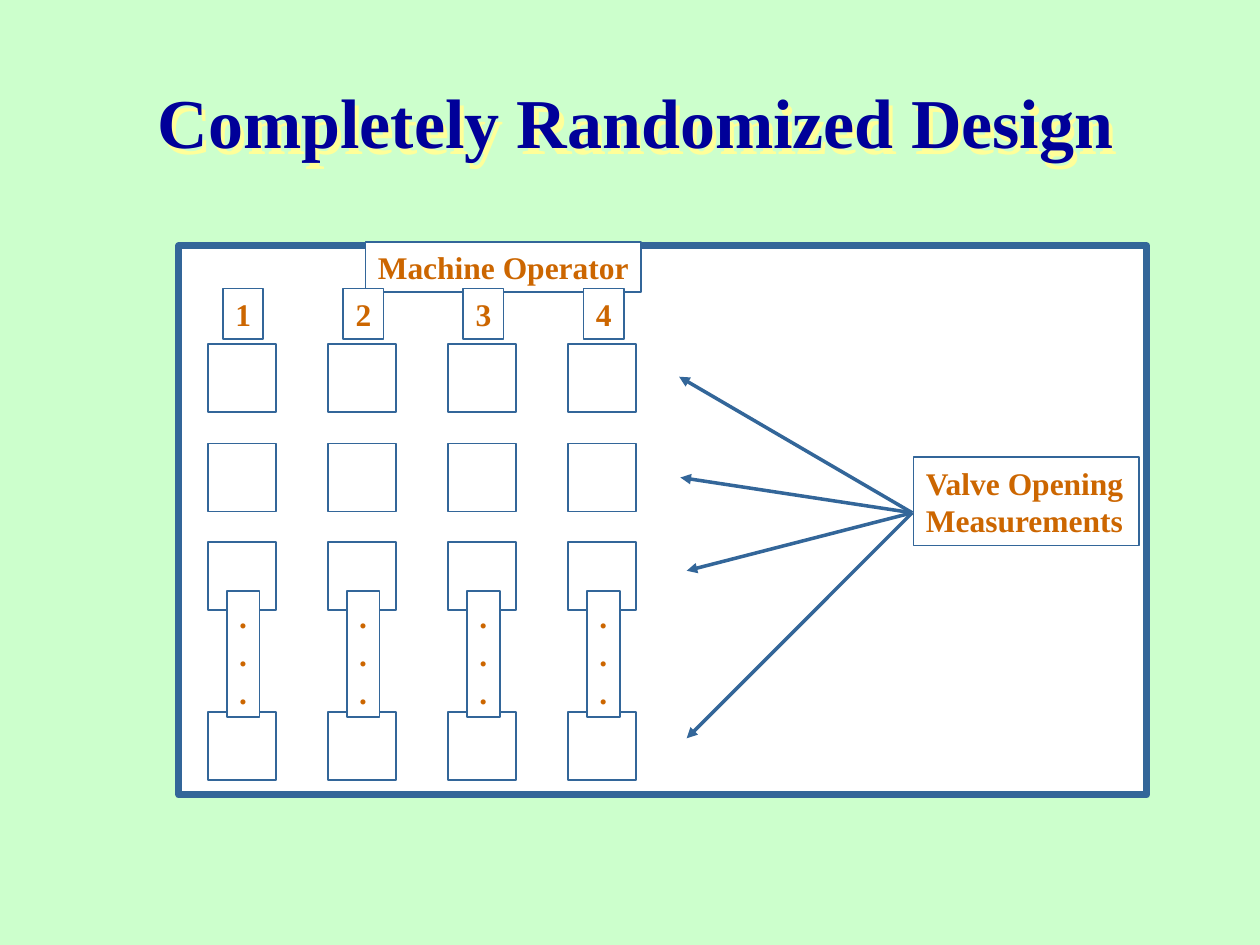
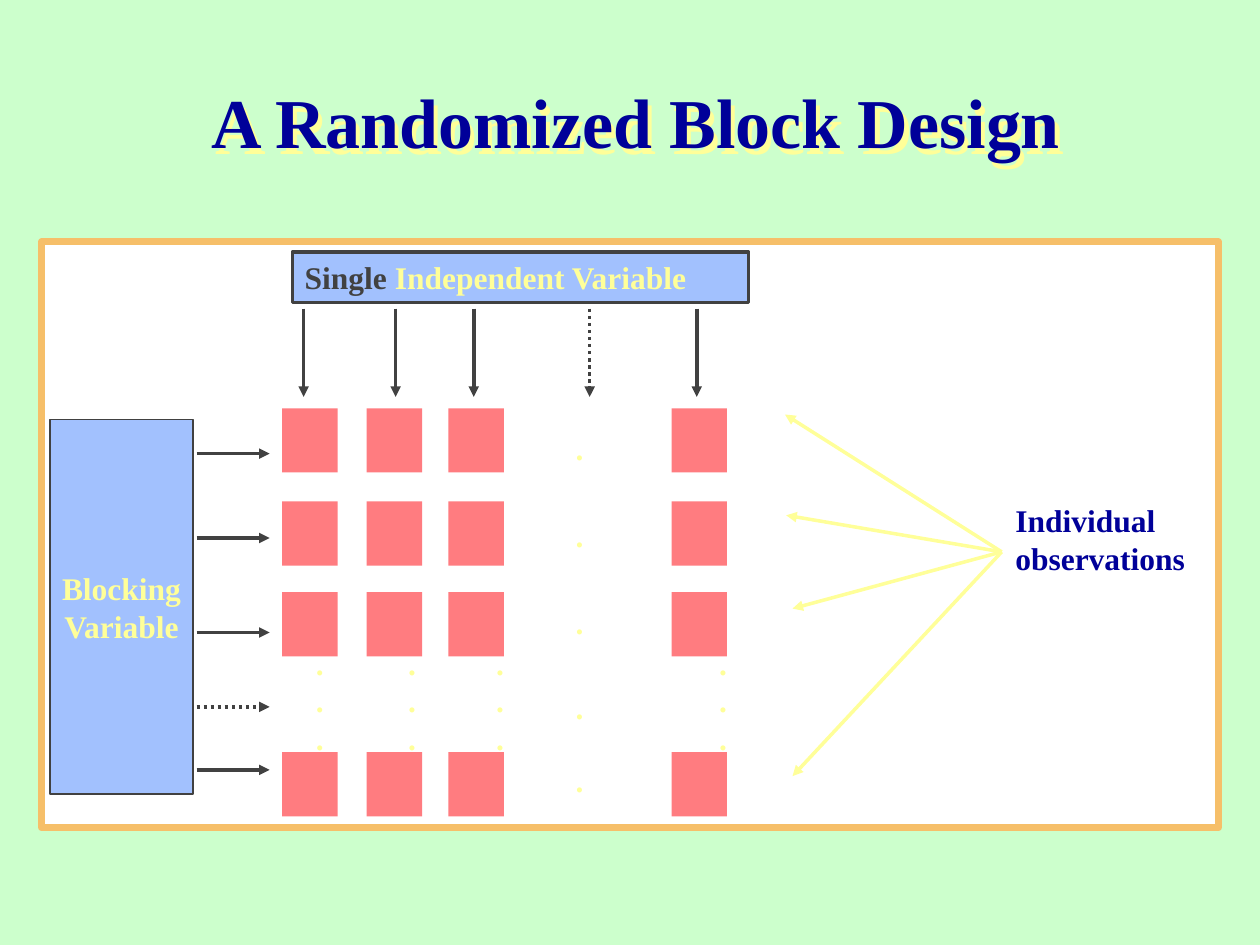
from lxml.etree import SubElement
from pptx import Presentation
from pptx.dml.color import RGBColor
from pptx.enum.dml import MSO_LINE
from pptx.enum.shapes import MSO_CONNECTOR, MSO_SHAPE
from pptx.enum.text import MSO_ANCHOR, MSO_AUTO_SIZE, PP_ALIGN
from pptx.oxml.ns import qn
from pptx.util import Inches, Pt

MINT, WHITE, NAVY, YELLOW = "CCFFCC", "FFFFFF", "000099", "FFFF99"
STEEL, RUST = "336699", "CC6600"
AMBER, CORAL, SKY, CHARCOAL = "F6BF69", "FF7C80", "A2C1FE", "414141"
DOTS = [".", ".", "."]
FAN_TARGETS = [(5.45, 5.86), (5.45, 4.53), (5.4, 3.79), (5.39, 2.99)]


def rgb(code):
    """Turn a hex string into a colour."""
    return RGBColor.from_string(code)


class DiagramDeck:
    """Hold the shared style and the current page."""

    font = "Times New Roman"
    title_size, body_size = 40, 18

    def __init__(self):
        """Start an empty 10 by 7.5 inch deck."""
        self.deck = Presentation()
        self.deck.slide_width = Inches(10)
        self.deck.slide_height = Inches(7.5)
        self.page = None

    def new_page(self, title):
        """Add a mint page with a shadowed title."""
        self.page = self.deck.slides.add_slide(self.deck.slide_layouts[6])
        self.page.background.fill.solid()
        self.page.background.fill.fore_color.rgb = rgb(MINT)
        box = self.text(0.42, 0.33, 9.25, 1.25, [title], NAVY, wrap=True, grow=False,
                        size=self.title_size, centred=True)
        effects = SubElement(box._element.spPr, qn("a:effectLst"))
        shadow = SubElement(effects, qn("a:outerShdw"), dist=str(Inches(0.06)),
                            dir="3400000", algn="ctr", rotWithShape="0")
        SubElement(shadow, qn("a:srgbClr"), val=YELLOW)

    def rectangle(self, left, top, width, height, fill, outline=None, weight=1):
        """Draw a flat rectangle, outlined if a colour is given."""
        box = self.page.shapes.add_shape(MSO_SHAPE.RECTANGLE, Inches(left), Inches(top),
                                         Inches(width), Inches(height))
        box.shadow.inherit = False
        box.fill.solid()
        box.fill.fore_color.rgb = rgb(fill)
        if outline:
            box.line.color.rgb = rgb(outline)
            box.line.width = Pt(weight)
        else:
            box.line.fill.background()
        return box

    def add_lines(self, box, lines, colour, wrap=False, grow=True, size=None, centred=False):
        """Fill a box with lines; a line is a string or a list of (text, colour)."""
        frame = box.text_frame
        frame.word_wrap = wrap
        frame.auto_size = MSO_AUTO_SIZE.SHAPE_TO_FIT_TEXT if grow else MSO_AUTO_SIZE.NONE
        frame.vertical_anchor = MSO_ANCHOR.MIDDLE if centred else MSO_ANCHOR.TOP
        for index, line in enumerate(lines):
            para = frame.add_paragraph() if index else frame.paragraphs[0]
            para.alignment = PP_ALIGN.CENTER if centred else PP_ALIGN.LEFT
            spans = [(line, colour)] if isinstance(line, str) else line
            for words, shade in spans:
                span = para.add_run()
                span.text = words
                span.font.name = self.font
                span.font.size = Pt(size or self.body_size)
                span.font.bold = True
                span.font.color.rgb = rgb(shade)

    def text(self, left, top, width, height, lines, colour, **style):
        """Place text without fill or outline."""
        box = self.page.shapes.add_textbox(Inches(left), Inches(top),
                                           Inches(width), Inches(height))
        self.add_lines(box, lines, colour, **style)
        return box

    def label(self, left, top, width, height, lines):
        """Place rust text in a white box with a steel outline."""
        box = self.rectangle(left, top, width, height, WHITE, STEEL)
        self.add_lines(box, lines, RUST)

    def arrow(self, start, end, colour, dotted=False):
        """Draw an arrow from start to end."""
        x1, y1, x2, y2 = (Inches(value) for value in (*start, *end))
        connector = self.page.shapes.add_connector(MSO_CONNECTOR.STRAIGHT, x1, y1, x2, y2)
        connector.line.color.rgb = rgb(colour)
        connector.line.width = Pt(2)
        if dotted:
            connector.line.dash_style = MSO_LINE.ROUND_DOT
        properties = connector._element.spPr
        SubElement(properties.find(qn("a:ln")), qn("a:tailEnd"), type="triangle")
        SubElement(properties, qn("a:effectLst"))

    def fan(self, hub, colour, shift_x=0, shift_y=0):
        """Draw the four arrows that spread from a hub to the rows."""
        for x, y in FAN_TARGETS:
            self.arrow(hub, (x + shift_x, y + shift_y), colour)


def completely_randomized(deck):
    """Build the page on the completely randomized design."""
    deck.new_page("Completely Randomized Design")
    deck.rectangle(1.42, 1.95, 7.68, 4.36, WHITE, STEEL, 4)
    deck.label(2.9, 1.92, 2.19, 0.4, ["Machine Operator"])
    deck.label(7.25, 3.63, 1.79, 0.7, ["Valve Opening", "Measurements"])
    deck.fan((7.24, 4.07), STEEL)
    for operator in range(4):
        left = 1.65 + operator * 2.86 / 3
        deck.label(left + 0.12, 2.29, 0.32, 0.4, [str(operator + 1)])
        for top in (2.73, 3.52, 4.3, 5.65):
            deck.rectangle(left, top, 0.54, 0.54, WHITE, STEEL)
        deck.label(left + 0.15, 4.69, 0.26, 1, DOTS)


def randomized_block(deck):
    """Build the page on the randomized block design."""
    deck.new_page("A Randomized Block Design")
    deck.rectangle(0.33, 1.92, 9.34, 4.65, WHITE, AMBER, 4)
    deck.text(7.96, 3.93, 1.55, 0.7, ["Individual", "observations"], NAVY)
    deck.fan((7.95, 4.38), YELLOW, 0.84, 0.3)

    for left, dots_left in ((2.24, 2.41), (2.91, 3.14), (3.56, 3.84), (5.33, 5.61)):
        for top in (3.24, 3.98, 4.7, 5.97):
            deck.rectangle(left, top, 0.44, 0.51, CORAL)
        deck.text(dots_left, 5.06, 0.2, 1, DOTS, YELLOW, wrap=True)
    for top in (3.36, 4.05, 4.74, 5.41, 5.99):
        deck.text(4.47, top, 0.26, 0.4, ["."], YELLOW)

    treatment = deck.rectangle(2.32, 2, 3.62, 0.4, SKY, CHARCOAL, 2)
    deck.add_lines(treatment, [[("Single", CHARCOAL), (" Independent Variable", YELLOW)]],
                   YELLOW, wrap=True)
    for x in (2.41, 3.14, 3.76, 4.68, 5.53):
        deck.arrow((x, 2.45), (x, 3.15), CHARCOAL, dotted=x == 4.68)

    block = deck.rectangle(0.4, 3.33, 1.13, 2.97, SKY, CHARCOAL)
    deck.add_lines(block, ["Blocking", "Variable"], YELLOW, grow=False, centred=True)
    for y in (3.6, 4.27, 5.02, 5.61, 6.11):
        deck.arrow((1.56, y), (2.14, y), CHARCOAL, dotted=y == 5.61)


def main():
    """Build both pages and save the deck."""
    deck = DiagramDeck()
    completely_randomized(deck)
    randomized_block(deck)
    deck.deck.save("out.pptx")


if __name__ == "__main__":
    main()
